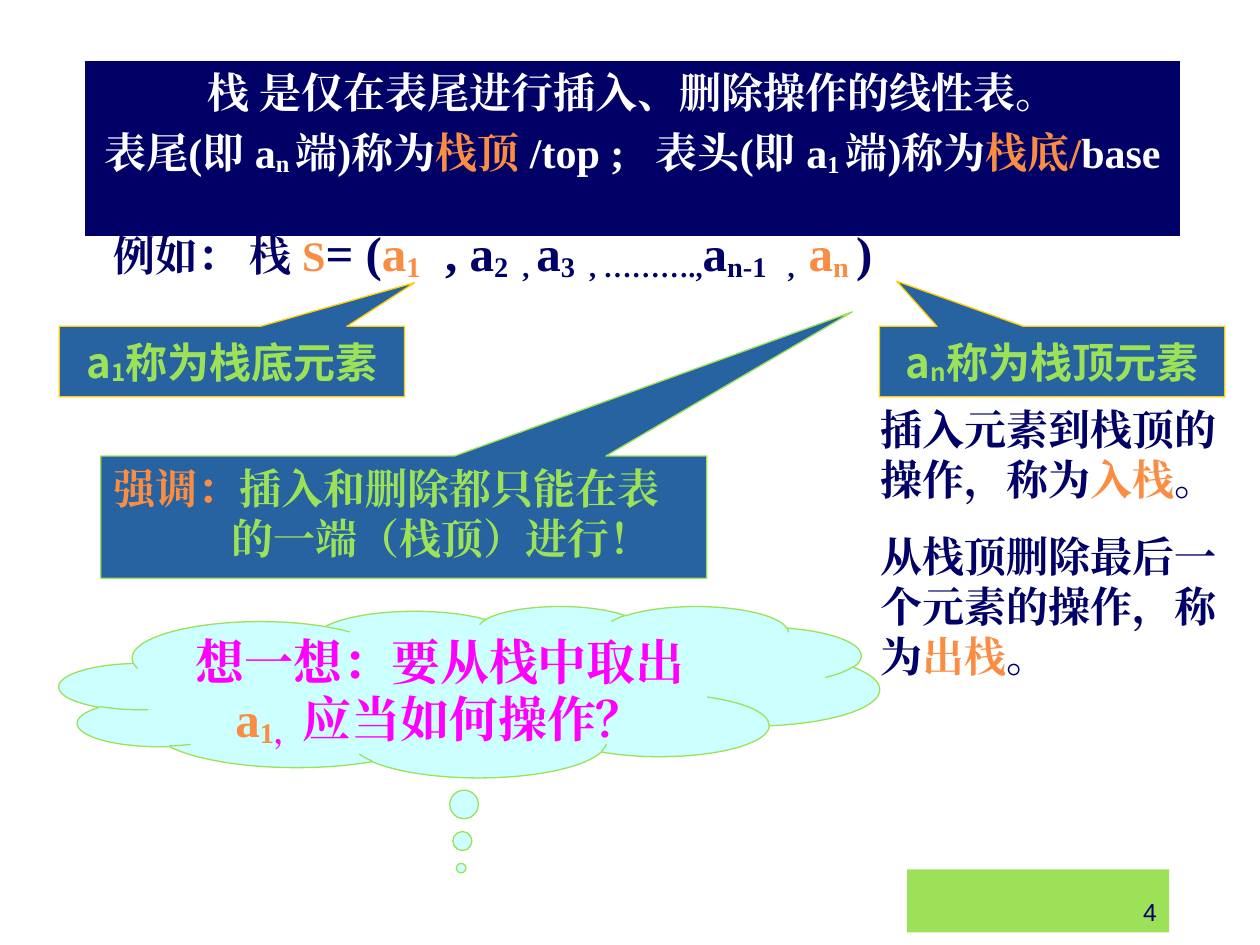
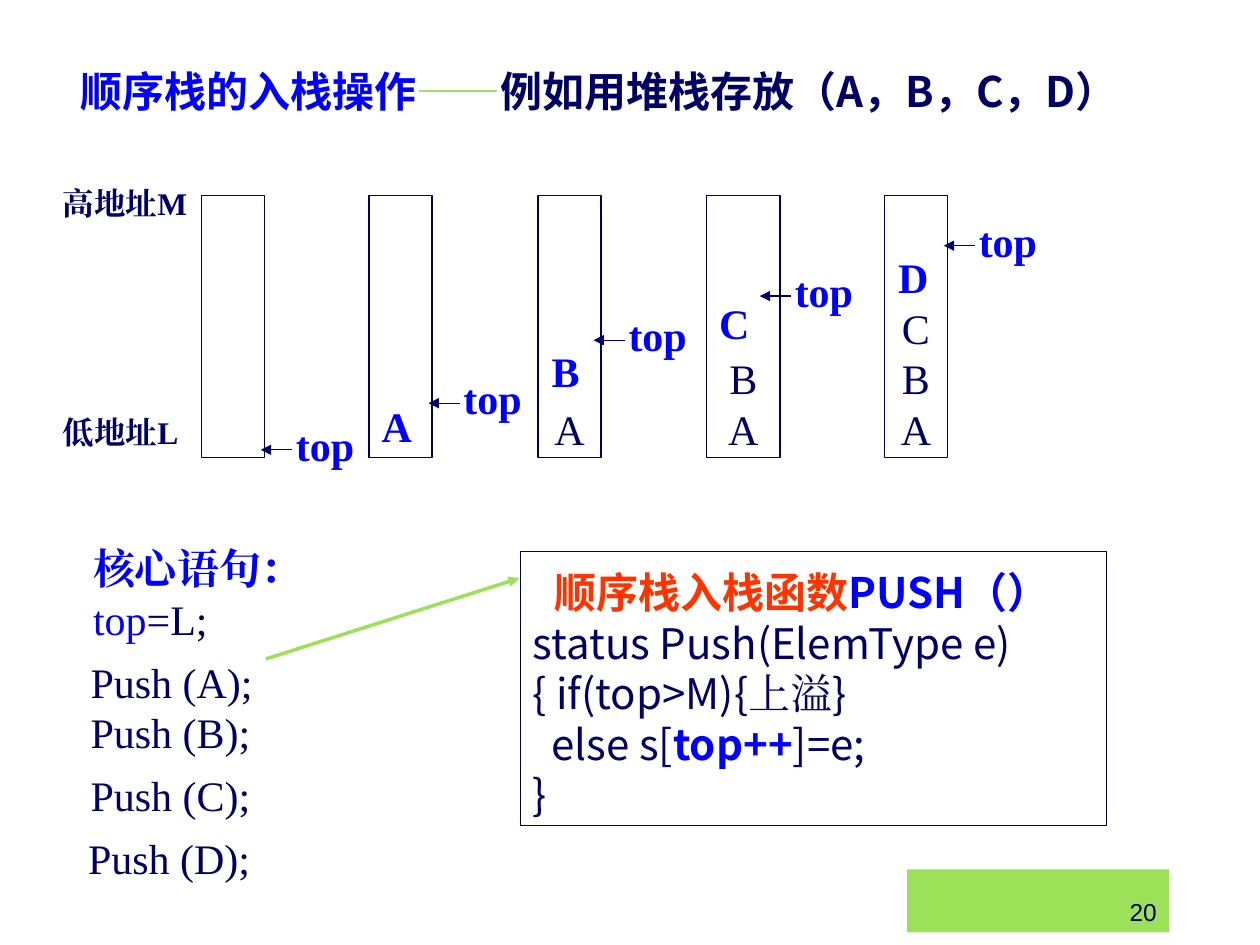
import pptx
import pptx.dml.color
import pptx.enum.shapes
import pptx.enum.text
import pptx.oxml.ns
import pptx.util
from lxml import etree

# Shared style
NAVY, BLUE, STEEL, GREEN = "000066", "0000FF", "2663A0", "9CE157"
ORANGE, GOLD, PINK, SKY = "F98D43", "FFCC00", "FF00FF", "CCFFFF"
RED, WHITE = "FF3300", "FFFFFF"
SERIF, SANS, NUMBER_FONT = "Times New Roman", "Noto Sans CJK SC", "Arial"
COLUMNS, ROWS = 100, 75
LINE_PITCH = 1.2

ALIGN = pptx.enum.text.PP_ALIGN
ANCHOR = pptx.enum.text.MSO_ANCHOR
SHAPE = pptx.enum.shapes.MSO_SHAPE
BLANK, TITLE_ONLY = 6, 5
INSETS = (1, 0.5, 1, 0.5)


def rgb(value):
    return pptx.dml.color.RGBColor.from_string(value)


def style(color=NAVY, size=24, font=SERIF, bold=True):
    return dict(color=color, size=size, font=font, bold=bold, base=0)


class Deck:
    """Holds the presentation, the current slide and the shared look."""

    def __init__(self):
        self.prs = pptx.Presentation()
        self.prs.slide_width = pptx.util.Inches(10)
        self.prs.slide_height = pptx.util.Inches(7.5)
        self.slide = None

    def col(self, count):
        return round(self.prs.slide_width * count / COLUMNS)

    def row(self, count):
        return round(self.prs.slide_height * count / ROWS)

    def box(self, left, top, width, height):
        return self.col(left), self.row(top), self.col(width), self.row(height)

    def new_slide(self, layout, number):
        self.slide = self.prs.slides.add_slide(self.prs.slide_layouts[layout])
        self.shape(SHAPE.RECTANGLE, (72, 69, 20.8, 5), fill=GREEN,
                   paragraphs=[[number]], base=style(size=14, font=NUMBER_FONT, bold=False),
                   align=ALIGN.RIGHT, anchor=ANCHOR.BOTTOM)

    def fill_text(self, holder, paragraphs, base, align=ALIGN.LEFT, anchor=ANCHOR.TOP,
                  wrap=True, before=0, insets=INSETS, indents=None, hanging=0):
        """Each paragraph is a list of spans: a string, or (string, style changes).

        Changes carry on to the following spans, except a gap (extra points after a space).
        """
        frame = holder.text_frame
        frame.auto_size = pptx.enum.text.MSO_AUTO_SIZE.NONE
        frame.word_wrap = wrap
        frame.vertical_anchor = anchor
        frame.margin_left, frame.margin_top = self.col(insets[0]), self.row(insets[1])
        frame.margin_right, frame.margin_bottom = self.col(insets[2]), self.row(insets[3])
        current = dict(base)
        for index, spans in enumerate(paragraphs):
            paragraph = frame.add_paragraph() if index else frame.paragraphs[0]
            paragraph.alignment = align
            paragraph.space_before = pptx.util.Pt(before)
            largest = 0
            for span in spans:
                text, changes = (span, {}) if isinstance(span, str) else span
                changes = dict(changes)
                gap_points = changes.pop("gap", 0)
                current.update(changes)
                self.add_run(paragraph, text, current, gap_points)
                largest = max(largest, current["size"])
            paragraph.line_spacing = pptx.util.Pt(largest * LINE_PITCH)
            indent = indents[index] if indents else hanging
            if indent:
                properties = paragraph._p.get_or_add_pPr()
                properties.set("marL", str(self.col(indent)))
                properties.set("indent", str(-self.col(hanging)))

    def add_run(self, paragraph, text, look, gap_points):
        run = paragraph.add_run()
        run.text = text
        run.font.size = pptx.util.Pt(look["size"])
        run.font.bold = look["bold"]
        run.font.color.rgb = rgb(look["color"])
        run.font.name = look["font"]
        properties = run._r.get_or_add_rPr()
        etree.SubElement(properties, pptx.oxml.ns.qn("a:ea"), typeface=look["font"])
        if look["base"]:
            properties.set("baseline", str(look["base"] * 1000))
        if gap_points:
            properties.set("spc", str(gap_points * 100))

    def title(self, area, spans, base):
        heading = self.slide.shapes.title
        heading.left, heading.top, heading.width, heading.height = self.box(*area)
        self.fill_text(heading, [spans], base, anchor=ANCHOR.MIDDLE)

    def text(self, area, paragraphs, base, **options):
        holder = self.slide.shapes.add_textbox(*self.box(*area))
        self.fill_text(holder, paragraphs, base, **options)

    def shape(self, kind, area, fill=None, line=None, pointer=(), paragraphs=(),
              base=None, **options):
        figure = self.slide.shapes.add_shape(kind, *self.box(*area))
        figure.shadow.inherit = False
        for index, value in enumerate(pointer):
            figure.adjustments[index] = value
        if fill:
            figure.fill.solid()
            figure.fill.fore_color.rgb = rgb(fill)
        else:
            figure.fill.background()
        if line:
            figure.line.color.rgb = rgb(line)
            figure.line.width = pptx.util.Pt(0.75)
        else:
            figure.line.fill.background()
        if paragraphs:
            self.fill_text(figure, paragraphs, base, **options)

    def arrow(self, start, end, color=NAVY, width=0.75):
        arrow = self.slide.shapes.add_connector(
            pptx.enum.shapes.MSO_CONNECTOR.STRAIGHT,
            self.col(start[0]), self.row(start[1]), self.col(end[0]), self.row(end[1]))
        arrow.line.color.rgb = rgb(color)
        arrow.line.width = pptx.util.Pt(width)
        properties = arrow._element.spPr
        outline = properties.find(pptx.oxml.ns.qn("a:ln"))
        etree.SubElement(outline, pptx.oxml.ns.qn("a:tailEnd"), type="triangle")
        etree.SubElement(properties, pptx.oxml.ns.qn("a:effectLst"))


def sub(text, base=-12):
    return text, {"base": base}


def level(text, **changes):
    return text, {"base": 0, **changes}


def tint(text, color):
    return text, {"color": color}


def gap(points):
    return " ", {"gap": points}


def definition_slide(deck):
    deck.new_slide(BLANK, "4")

    # Definition band
    deck.shape(
        SHAPE.RECTANGLE, (6.7, 4.8, 87, 14), fill=NAVY, line=WHITE,
        paragraphs=[
            ["栈 是仅在表尾进行插入、删除操作的线性表。"],
            ["表尾(即 a", sub("n ", -10), level("端)称为"), tint("栈顶 ", ORANGE),
             tint("/top ;", WHITE), gap(12), "表头(即 a", sub("1 "), level("端)称为"),
             tint("栈底/", ORANGE), tint("base", WHITE)],
        ],
        base=style(WHITE), align=ALIGN.CENTER, before=6)

    # Example stack
    deck.text(
        (8, 17.3, 70.8, 5.8),
        [["例如： 栈 ", tint("S", ORANGE), ("= (", {"size": 28, "color": NAVY}),
          tint("a", ORANGE), sub("1"), level(" ", gap=7), tint(", a", NAVY),
          sub("2"), gap(4), ", ", level("a"), sub("3"), gap(4), ", ……….,",
          level("a"), sub("n-1"), gap(8), ",", gap(4),
          level("a", color=ORANGE), sub("n "), level(")", color=NAVY)]],
        style())

    # Push and pop
    deck.text(
        (68.9, 31.5, 31.1, 23.1),
        [["插入元素到栈顶的操作，称为", tint("入栈", ORANGE), tint("。", NAVY)],
         ["从栈顶删除最后一个元素的操作，称为", tint("出栈", ORANGE), tint("。", NAVY)]],
        style(), before=15)

    # Callouts for both ends
    for left, index, role, pointer in ((69.8, "n", "称为栈顶元素", (-0.45, -1.14)),
                                       (4.7, "1", "称为栈底元素", (0.53, -1.12))):
        deck.shape(SHAPE.RECTANGULAR_CALLOUT, (left, 25.9, 27.4, 5.6), fill=STEEL, line=GOLD,
                   pointer=pointer, paragraphs=[["a", sub(index, -8), level(role)]],
                   base=style(GREEN, font=SANS), align=ALIGN.CENTER, anchor=ANCHOR.MIDDLE)

    # Question and emphasis
    deck.shape(SHAPE.CLOUD_CALLOUT, (4.7, 48.1, 65.1, 13.6), fill=SKY, line=GREEN,
               pointer=(-0.01, 1.03),
               paragraphs=[["想一想：要从栈中取出", tint("a", ORANGE), sub("1"),
                            tint("，", PINK), level("应当如何操作？")]],
               base=style(PINK, size=28), align=ALIGN.CENTER, insets=(0, 0, 0, 0))
    deck.shape(SHAPE.RECTANGULAR_CALLOUT, (8, 36.2, 48.1, 9.7), fill=STEEL, line=GREEN,
               pointer=(0.74, -1.68),
               paragraphs=[["强调：", tint("插入和删除都只能在表的一端（栈顶）进行！", GREEN)]],
               base=style(ORANGE), before=6, hanging=9.4)


def push_slide(deck):
    deck.new_slide(TITLE_ONLY, "20")
    deck.title((5.4, 2.7, 87.1, 9),
               ["顺序栈的入栈操作", tint("——", GREEN),
                tint("例如用堆栈存放（A，B，C，D）", NAVY)],
               style(BLUE, font=SANS))

    # Stack states: left, width, earlier items, new item, its place, pointer tip
    states = (
        (16, 5, "", "", None, (20.7, 35.7)),
        (29.3, 5, "", "A", (29.3, 31.3), (34, 32)),
        (42.7, 5, "A", "B", (42.8, 26.9), (47.1, 27)),
        (56.1, 5.8, "BA", "C", (56.1, 23.1), (60.3, 23.5)),
        (70.2, 5, "CBA", "D", (70.3, 19.5), (74.9, 19.5)),
    )
    for left, width, earlier, newest, place, (tip, height) in states:
        deck.shape(SHAPE.RECTANGLE, (left, 15.5, width, 20.8), line=NAVY,
                   paragraphs=[[item] for item in earlier], base=style(bold=False),
                   align=ALIGN.CENTER, anchor=ANCHOR.BOTTOM, wrap=False,
                   insets=(1, 0.5, 1, 0.3))
        if newest:
            deck.text((*place, 4.4, 5), [[newest]], style(BLUE), wrap=False)
        deck.arrow((tip + 2.5, height), (tip, height))
        deck.text((tip + 1.8, height - 2.9, 6.6, 5), [["top"]], style(BLUE), wrap=False)

    # Address labels
    for label, top in (("高地址M", 14.1), ("低地址L", 32.3)):
        deck.text((4, top, 12.4, 4), [[label]], style(size=18), wrap=False)

    # Core statements
    deck.text((6.4, 42.6, 22.4, 9),
              [["核心语句："], [("top", {"bold": False}), tint("=L;", NAVY)]], style(BLUE))
    for item, left, top in (("A", 6.2, 51.6), ("B", 6.2, 55.6),
                            ("C", 6.2, 60.6), ("D", 6, 65.6)):
        deck.text((left, top, 14.8, 5), [[f"Push ({item});"]], style(bold=False), wrap=False)

    # Push function
    deck.shape(
        SHAPE.RECTANGLE, (41.3, 43.8, 46.5, 21.7), line=NAVY,
        paragraphs=[
            ["顺序栈入栈函数", tint("PUSH（）", BLUE)],
            [("status Push(ElemType e)", {"color": NAVY, "bold": False})],
            ["{ if(top>M){", ("上溢", {"font": SERIF}), ("}", {"font": SANS})],
            ["else s[", ("top++", {"color": BLUE, "bold": True}),
             ("]=e;", {"color": NAVY, "bold": False})],
            ["}"],
        ],
        base=style(RED, font=SANS), align=ALIGN.JUSTIFY, insets=(1, 1.2, 1, 0.5),
        indents=(1.7, 0, 0, 1.5, 0))
    deck.arrow((21.1, 52.3), (41.2, 45.9), GREEN, 2)


def main():
    deck = Deck()
    definition_slide(deck)
    push_slide(deck)
    deck.prs.save("out.pptx")


if __name__ == "__main__":
    main()
